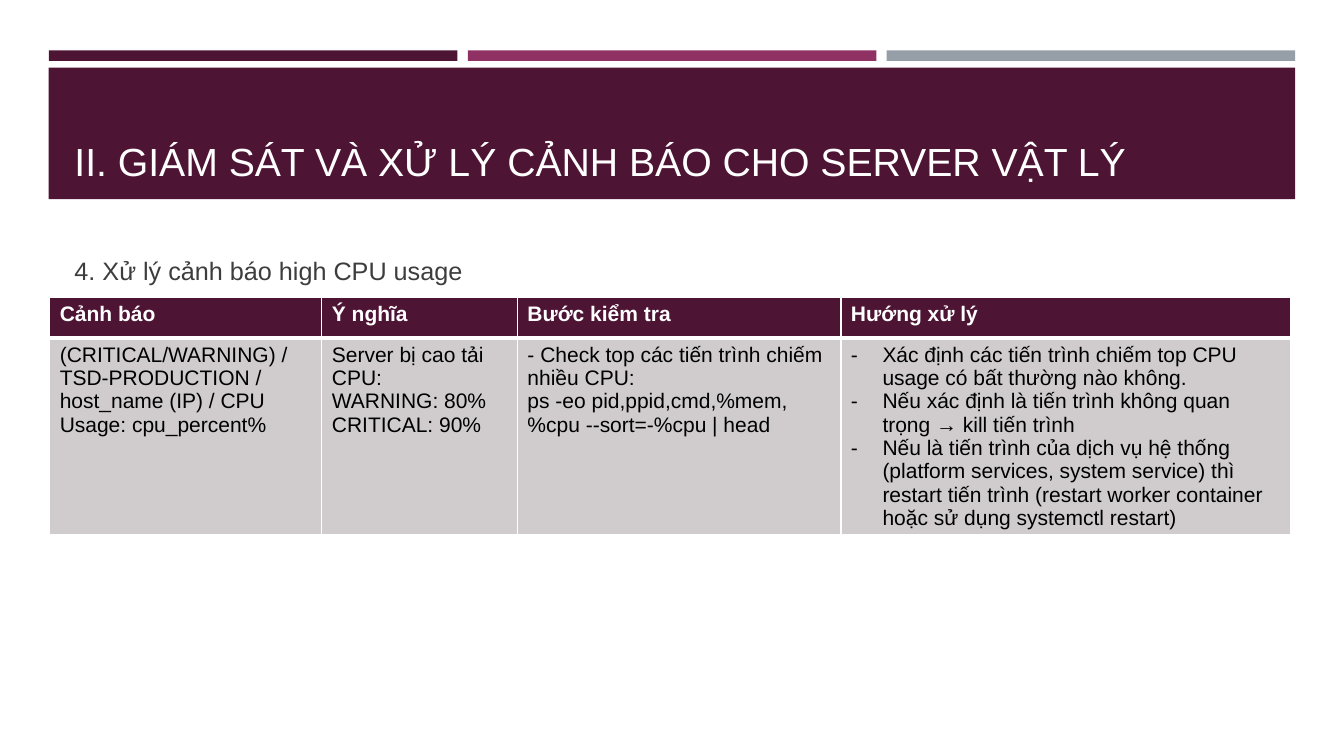
from lxml.etree import SubElement
from pptx import Presentation
from pptx.dml.color import RGBColor
from pptx.enum.shapes import MSO_SHAPE
from pptx.enum.text import MSO_ANCHOR, MSO_AUTO_SIZE, PP_ALIGN
from pptx.oxml.ns import qn
from pptx.util import Pt

PLUM = RGBColor(0x4D, 0x14, 0x34)
MAGENTA = RGBColor(0x90, 0x31, 0x63)
STEEL = RGBColor(0x96, 0x9F, 0xA7)
CELL_GRAY = RGBColor(0xD0, 0xCC, 0xCE)
TEXT_GRAY = RGBColor(0x3D, 0x3D, 0x3D)
WHITE = RGBColor(0xFF, 0xFF, 0xFF)
BLACK = RGBColor(0x00, 0x00, 0x00)
FONT = "Arial"

HEADERS = ["Cảnh báo", "Ý nghĩa", "Bước kiểm tra", "Hướng xử lý"]
DETAILS = [
    ["(CRITICAL/WARNING) / TSD-PRODUCTION / host_name (IP) / CPU Usage: cpu_percent%"],
    ["Server bị cao tải CPU:", "WARNING: 80%", "CRITICAL: 90%"],
    ["- Check top các tiến trình chiếm nhiều CPU: ",
     "ps -eo pid,ppid,cmd,%mem,%cpu --sort=-%cpu | head"],
    ["Xác định các tiến trình chiếm top CPU usage có bất thường nào không.",
     "Nếu xác định là tiến trình không quan trọng → kill tiến trình",
     "Nếu là tiến trình của dịch vụ hệ thống (platform services, system service) "
     "thì restart tiến trình (restart worker container hoặc sử dụng systemctl restart)"],
]
COLUMN_WIDTHS = [194.4, 139.7, 231.1, 321.1]
ROW_HEIGHTS = [29, 140]


def write_text(frame, lines, size=15, color=BLACK, bold=False, bullet=None, indent=0):
    """Fill a text frame with one left-aligned paragraph per line."""
    for index, line in enumerate(lines):
        paragraph = frame.add_paragraph() if index else frame.paragraphs[0]
        paragraph.alignment = PP_ALIGN.LEFT
        paragraph.space_before = paragraph.space_after = Pt(0)
        run = paragraph.add_run()
        run.text = line
        run.font.name = FONT
        run.font.size = Pt(size)
        run.font.bold = bold
        run.font.color.rgb = color
        properties = paragraph._p.get_or_add_pPr()
        properties.set("marL", str(Pt(indent)))
        properties.set("indent", str(-Pt(indent)))
        if bullet:
            SubElement(properties, qn("a:buFont"), typeface=FONT)
            SubElement(properties, qn("a:buChar"), char=bullet)
        else:
            SubElement(properties, qn("a:buNone"))


def set_borders(cell, **widths):
    """Draw white cell borders, in schema order, from side=width pairs."""
    properties = cell._tc.get_or_add_tcPr()
    for position, (side, width) in enumerate(widths.items()):
        line = SubElement(properties, qn(f"a:ln{side}"), w=str(Pt(width)))
        fill = SubElement(line, qn("a:solidFill"))
        SubElement(fill, qn("a:srgbClr"), val=str(WHITE))
        properties.insert(position, line)


class SlideBuilder:
    """Holds the current slide and adds styled elements to it."""

    def __init__(self, slide):
        """Keep the slide to build on."""
        self.slide = slide

    def bar(self, left, top, width, height, color):
        """Add a plain filled rectangle."""
        shape = self.slide.shapes.add_shape(
            MSO_SHAPE.RECTANGLE, Pt(left), Pt(top), Pt(width), Pt(height))
        shape.shadow.inherit = False
        shape.fill.solid()
        shape.fill.fore_color.rgb = color
        shape.line.fill.background()

    def placeholder(self, index, box, text, anchor, **style):
        """Move a placeholder to the front, place it and fill it."""
        shape = self.slide.placeholders[index]
        self.slide.shapes._spTree.append(shape._element)
        shape.left, shape.top, shape.width, shape.height = map(Pt, box)
        frame = shape.text_frame
        frame.word_wrap = True
        frame.auto_size = MSO_AUTO_SIZE.NONE
        frame.vertical_anchor = anchor
        write_text(frame, [text], **style)

    def table(self, left, top, widths, heights):
        """Add an empty table with the given column widths and row heights."""
        table = self.slide.shapes.add_table(
            len(heights), len(widths), Pt(left), Pt(top),
            Pt(sum(widths)), Pt(sum(heights))).table
        for column, width in zip(table.columns, widths):
            column.width = Pt(width)
        for row, height in zip(table.rows, heights):
            row.height = Pt(height)
        return table

    def cell(self, cell, lines, fill, bottom=1, top=1, **style):
        """Fill, border and write one table cell."""
        cell.fill.solid()
        cell.fill.fore_color.rgb = fill
        set_borders(cell, L=1, R=1, T=top, B=bottom)
        write_text(cell.text_frame, lines, **style)


def main():
    """Build the slide and save it."""
    presentation = Presentation()
    presentation.slide_width, presentation.slide_height = Pt(960), Pt(540)
    builder = SlideBuilder(presentation.slides.add_slide(presentation.slide_layouts[1]))

    for index, color in enumerate([PLUM, MAGENTA, STEEL]):
        builder.bar(35 + index * 299.2, 36, 291.8, 7.5, color)
    builder.bar(34.8, 48.4, 890.4, 93.8, PLUM)
    builder.placeholder(0, (46, 55.5, 868, 80),
                        "II. GIÁM SÁT VÀ XỬ LÝ CẢNH BÁO CHO SERVER VẬT LÝ",
                        MSO_ANCHOR.BOTTOM, size=28, color=WHITE)
    builder.placeholder(1, (46, 178.5, 868, 30), "4. Xử lý cảnh báo high CPU usage",
                        MSO_ANCHOR.MIDDLE, size=18, color=TEXT_GRAY)

    table = builder.table(35.5, 212.5, COLUMN_WIDTHS, ROW_HEIGHTS)
    for column, (header, lines) in enumerate(zip(HEADERS, DETAILS)):
        builder.cell(table.cell(0, column), [header], PLUM, bottom=3,
                     color=WHITE, bold=True)
        is_action = column == len(HEADERS) - 1
        builder.cell(table.cell(1, column), lines, CELL_GRAY, top=3,
                     bullet="-" if is_action else None,
                     indent=22.5 if is_action else 0)

    presentation.save("out.pptx")


main()
